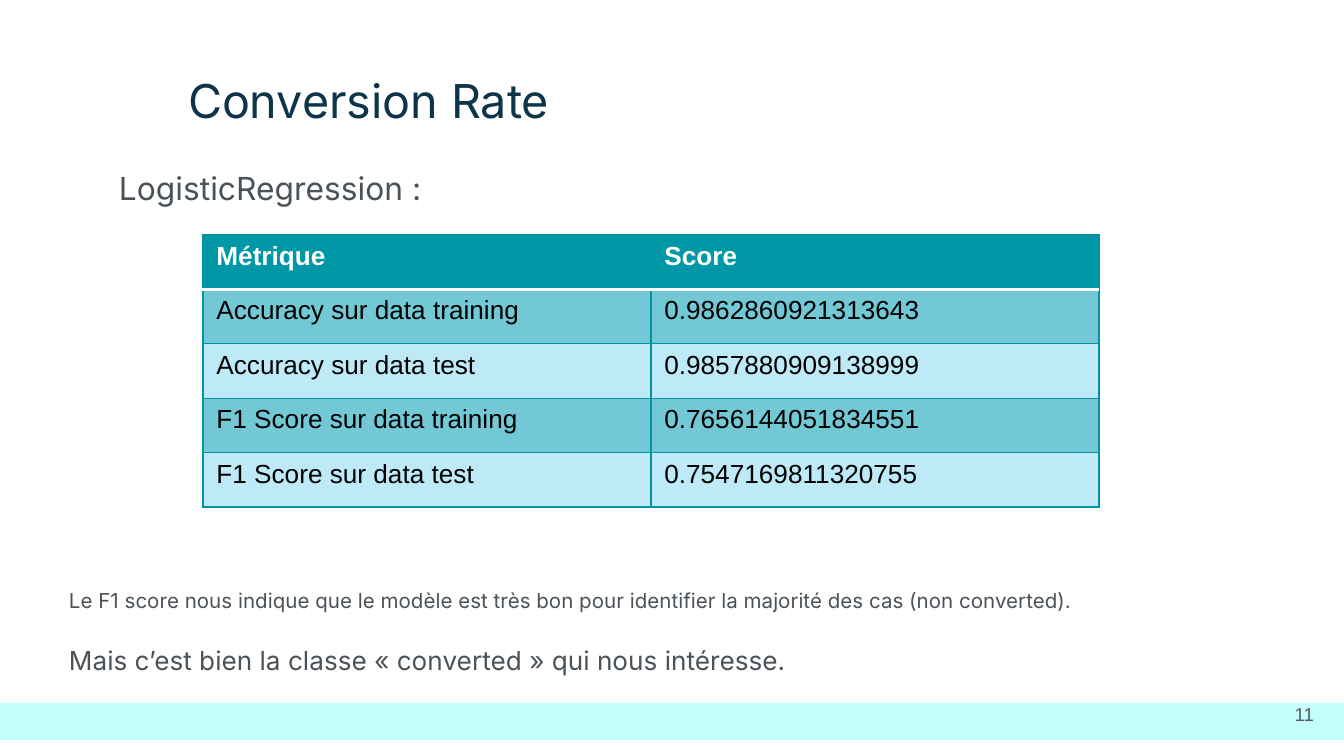
from lxml.etree import SubElement
from pptx import Presentation
from pptx.dml.color import RGBColor
from pptx.enum.shapes import MSO_SHAPE as Shape
from pptx.enum.text import MSO_ANCHOR as Anchor, MSO_AUTO_SIZE as AutoSize, PP_ALIGN as Align
from pptx.oxml.ns import qn
from pptx.util import Pt

SCALE = 914400 / 134.4
SLIDE_SIZE = (1344, 756)
BAND_AREA = (0, 703, 1344, 37)
INSET = 13

TITLE = ("Conversion Rate", (175, 59, 781, 78))
SUBTITLE = ("LogisticRegression :", (106, 156, 1110, 129))
REMARKS = [
    ("Le F1 score nous indique que le modèle est très bon pour identifier "
     "la majorité des cas (non converted).", 11, 0),
    ("Mais c’est bien la classe «\u00a0converted\u00a0» qui nous intéresse.", 14, 17),
]
REMARKS_AREA = (56, 575, 1110, 147)
PAGE_NUMBER = ("11", (1246, 685, 81, 58))

TABLE_AREA = (203, 235, 896, 272)
SCORES = [
    ("Métrique", "Score"),
    ("Accuracy sur data training", "0.9862860921313643"),
    ("Accuracy sur data test", "0.9857880909138999"),
    ("F1 Score sur data training", "0.7656144051834551"),
    ("F1 Score sur data test", "0.7547169811320755"),
]
HEADER_FILL = "0097A7"
ROW_FILLS = ("BEE9F7", "72C9D5")
BORDER = ("0094A3", 0.75)
HEADER_RULE = ("FFFFFF", 2)


def px(value):
    return round(value * SCALE)


def area(values):
    return [px(value) for value in values]


def color(text):
    return RGBColor.from_string(text)


def write(para, text, size, font="Inter", ink="4B5258", bold=False,
          align=Align.LEFT, before=0):
    para.alignment = align
    if before:
        para.space_before = Pt(before)
    span = para.add_run()
    span.text = text
    span.font.name = font
    span.font.size = Pt(size)
    span.font.bold = bold
    span.font.color.rgb = color(ink)


def prepare(box, anchor=Anchor.TOP):
    frame = box.text_frame
    frame.word_wrap = True
    frame.auto_size = AutoSize.NONE
    frame.vertical_anchor = anchor
    frame.margin_left = frame.margin_right = px(INSET)
    frame.margin_top = frame.margin_bottom = px(INSET)
    return frame


def set_borders(cell, **sides):
    properties = cell._tc.get_or_add_tcPr()
    for side in "LRTB":
        ink, width = sides.get(side, BORDER)
        line = SubElement(properties, qn(f"a:ln{side}"), w=str(Pt(width)))
        fill = SubElement(line, qn("a:solidFill"))
        SubElement(fill, qn("a:srgbClr"), val=ink)


def add_scores(page):
    table = page.shapes.add_table(len(SCORES), len(SCORES[0]), *area(TABLE_AREA)).table
    for row in table.rows:
        row.height = round(px(TABLE_AREA[3]) / len(SCORES))
    for r, values in enumerate(SCORES):
        header = r == 0
        rules = {0: {"B": HEADER_RULE}, 1: {"T": HEADER_RULE}}.get(r, {})
        for c, value in enumerate(values):
            cell = table.cell(r, c)
            set_borders(cell, **rules)
            cell.fill.solid()
            cell.fill.fore_color.rgb = color(HEADER_FILL if header else ROW_FILLS[r % 2])
            write(cell.text_frame.paragraphs[0], value, 14, font="Arial",
                  ink="FFFFFF" if header else "000000", bold=header)


def main():
    deck = Presentation()
    deck.slide_width, deck.slide_height = area(SLIDE_SIZE)
    page = deck.slides.add_slide(deck.slide_layouts[5])

    band = page.shapes.add_shape(Shape.RECTANGLE, *area(BAND_AREA))
    band.shadow.inherit = False
    band.fill.solid()
    band.fill.fore_color.rgb = color("C3FFFC")
    band.line.fill.background()

    text, place = TITLE
    title = page.shapes.title
    title.left, title.top, title.width, title.height = area(place)
    write(prepare(title).paragraphs[0], text, 25, ink="0E3449")

    text, place = SUBTITLE
    subtitle = page.shapes.add_textbox(*area(place))
    write(prepare(subtitle).paragraphs[0], text, 17)

    add_scores(page)

    remarks = prepare(page.shapes.add_textbox(*area(REMARKS_AREA)))
    for i, (text, size, before) in enumerate(REMARKS):
        para = remarks.add_paragraph() if i else remarks.paragraphs[0]
        write(para, text, size, before=before)

    text, place = PAGE_NUMBER
    number = page.shapes.add_textbox(*area(place))
    write(prepare(number, Anchor.MIDDLE).paragraphs[0], text, 10, font="Arial",
          ink="595959", align=Align.RIGHT)

    deck.save("out.pptx")


if __name__ == "__main__":
    main()
